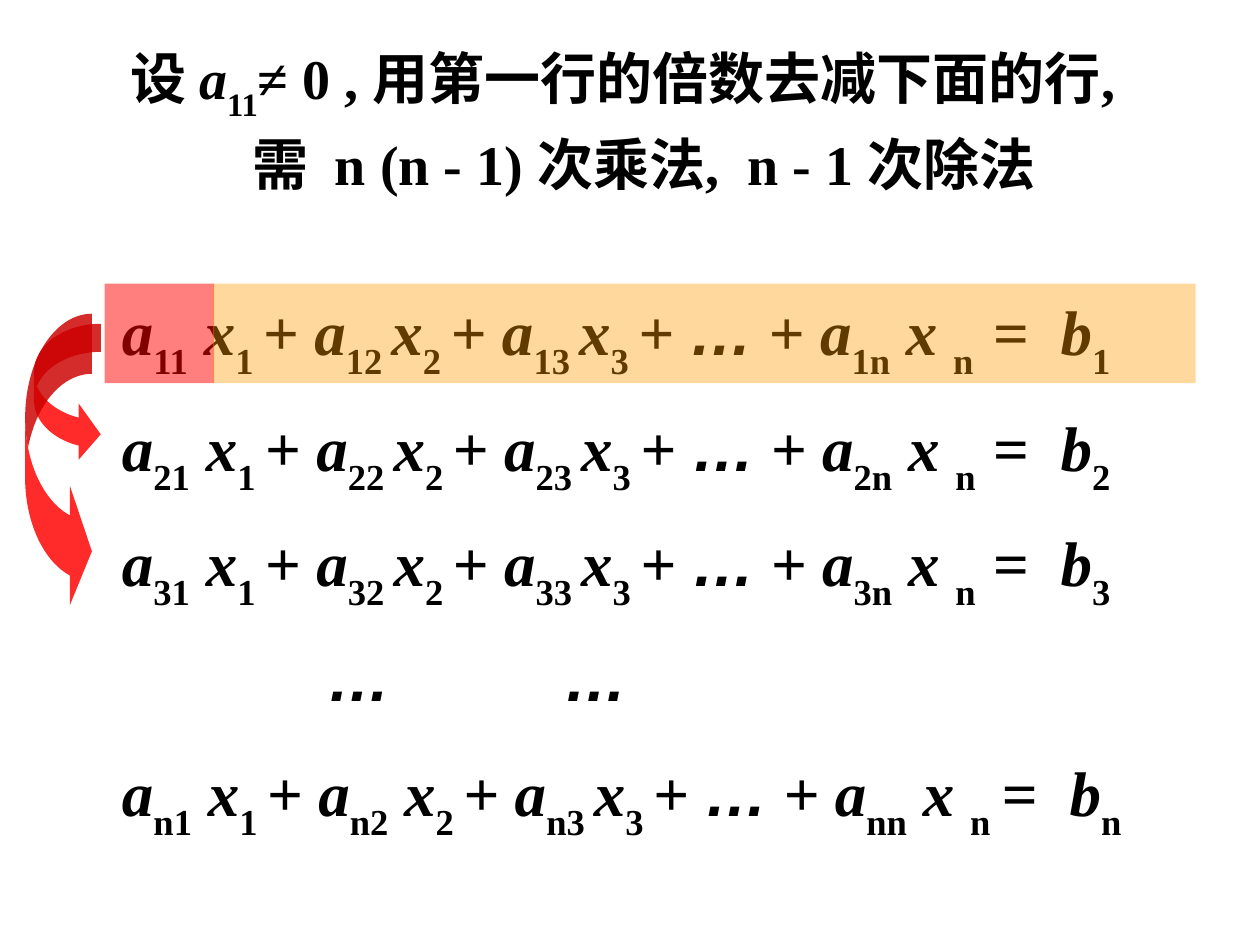
from lxml.etree import SubElement
from pptx import Presentation
from pptx.dml.color import RGBColor
from pptx.enum.shapes import MSO_SHAPE as Shape
from pptx.enum.text import MSO_ANCHOR as Anchor, PP_ALIGN as Align
from pptx.oxml.ns import qn
from pptx.util import Inches, Pt

SERIF = "Times New Roman"


def rgb(value):
    return RGBColor.from_string(value)


def add_run(p, text, size=36, font=SERIF, color="000000", italic=False, sub=False, spacing=0):
    r = p.add_run()
    r.text = text
    f = r.font
    f.size, f.name, f.bold, f.italic = Pt(size), font, True, italic
    f.color.rgb = rgb(color)
    if sub:
        f._element.set("baseline", "-30000")
    if spacing:
        f._element.set("spc", str(spacing * 100))


def add_text_box(slide, left, top, width, height, anchor=Anchor.TOP):
    box = slide.shapes.add_textbox(Inches(left), Inches(top), Inches(width), Inches(height))
    tf = box.text_frame
    tf.word_wrap = True
    tf.vertical_anchor = anchor
    return tf


def add_tabs(p, *stops):
    tabs = SubElement(p._p.get_or_add_pPr(), qn("a:tabLst"))
    for stop in stops:
        SubElement(tabs, qn("a:tab"), pos=str(Inches(stop)), algn="l")


def add_shape(slide, kind, left, top, width, height, color, opacity, adjustments=()):
    sp = slide.shapes.add_shape(kind, Inches(left), Inches(top), Inches(width), Inches(height))
    sp.shadow.inherit = False
    sp.line.fill.background()
    sp.fill.solid()
    sp.fill.fore_color.rgb = rgb(color)
    for i, value in enumerate(adjustments):
        sp.adjustments[i] = value
    fill = sp._element.spPr.find(qn("a:solidFill"))
    SubElement(fill[0], qn("a:alpha"), val=str(opacity * 1000))


def add_title(slide):
    p = add_text_box(slide, 0.5, 0.3, 9, 1.25, Anchor.MIDDLE).paragraphs[0]
    p.alignment = Align.CENTER
    p.line_spacing = 1.1
    add_run(p, "设 ", size=32)
    add_run(p, "a", size=32, italic=True)
    add_run(p, "11", size=32, sub=True)
    add_run(p, "≠ 0 , 用第一行的倍数去减下面的行, ", size=32)
    p.add_line_break()
    for part in ("需", "n (n - 1) 次乘法,", "n - 1 次除法"):
        add_run(p, " ", size=32, spacing=8)
        add_run(p, part, size=32)


def add_equation(p, row):
    shift = 0.07 if row == "n" else 0
    add_tabs(p, 6.91 + shift, 7.45 + shift)
    for column in "123":
        wide = column == "1" or row + column == "n2"
        add_run(p, "a" if column == "1" else "+ a", italic=True)
        add_run(p, row + column + ("" if wide else " "), sub=True)
        add_run(p, " x" if wide else "x", italic=True)
        add_run(p, column + " ", sub=True)
    add_run(p, "+ ", italic=True)
    add_run(p, "…", font="Arial", italic=True)
    add_run(p, " + a", italic=True)
    add_run(p, row + "n", sub=True)
    add_run(p, " x ", italic=True)
    add_run(p, "n", sub=True)
    add_run(p, "\t=\tb", italic=True)
    add_run(p, row, sub=True)


def add_ellipsis_row(p):
    add_tabs(p, 1.63, 3.51)
    for _ in range(2):
        add_run(p, "\t", italic=True, sub=True)
        add_run(p, "…", font="Arial", italic=True)


def add_system(slide):
    tf = add_text_box(slide, 0.87, 2.17, 8.63, 4.65)
    for i, row in enumerate(["1", "2", "3", None, "n"]):
        p = tf.add_paragraph() if i else tf.paragraphs[0]
        p.line_spacing = 1.15
        if i:
            p.space_before = Pt(7.2)
        if row:
            add_equation(p, row)
        else:
            add_ellipsis_row(p)


def main():
    prs = Presentation()
    prs.slide_width, prs.slide_height = Inches(10), Inches(7.5)
    slide = prs.slides.add_slide(prs.slide_layouts[6])
    add_title(slide)
    add_system(slide)
    arrow = Shape.CURVED_RIGHT_ARROW
    add_shape(slide, Shape.RECTANGLE, 0.83, 2.25, 0.87, 0.79, "FF0000", 50)
    add_shape(slide, arrow, 0.27, 2.57, 0.53, 1.1, "FF0000", 83, (0.42, 0.84, 0.33))
    add_shape(slide, Shape.RECTANGLE, 1.69, 2.25, 7.8, 0.79, "FF9900", 38)
    add_shape(slide, arrow, 0.2, 2.49, 0.53, 2.36, "FF0000", 83, (0.9, 1.79, 0.33))
    prs.save("out.pptx")


if __name__ == "__main__":
    main()
